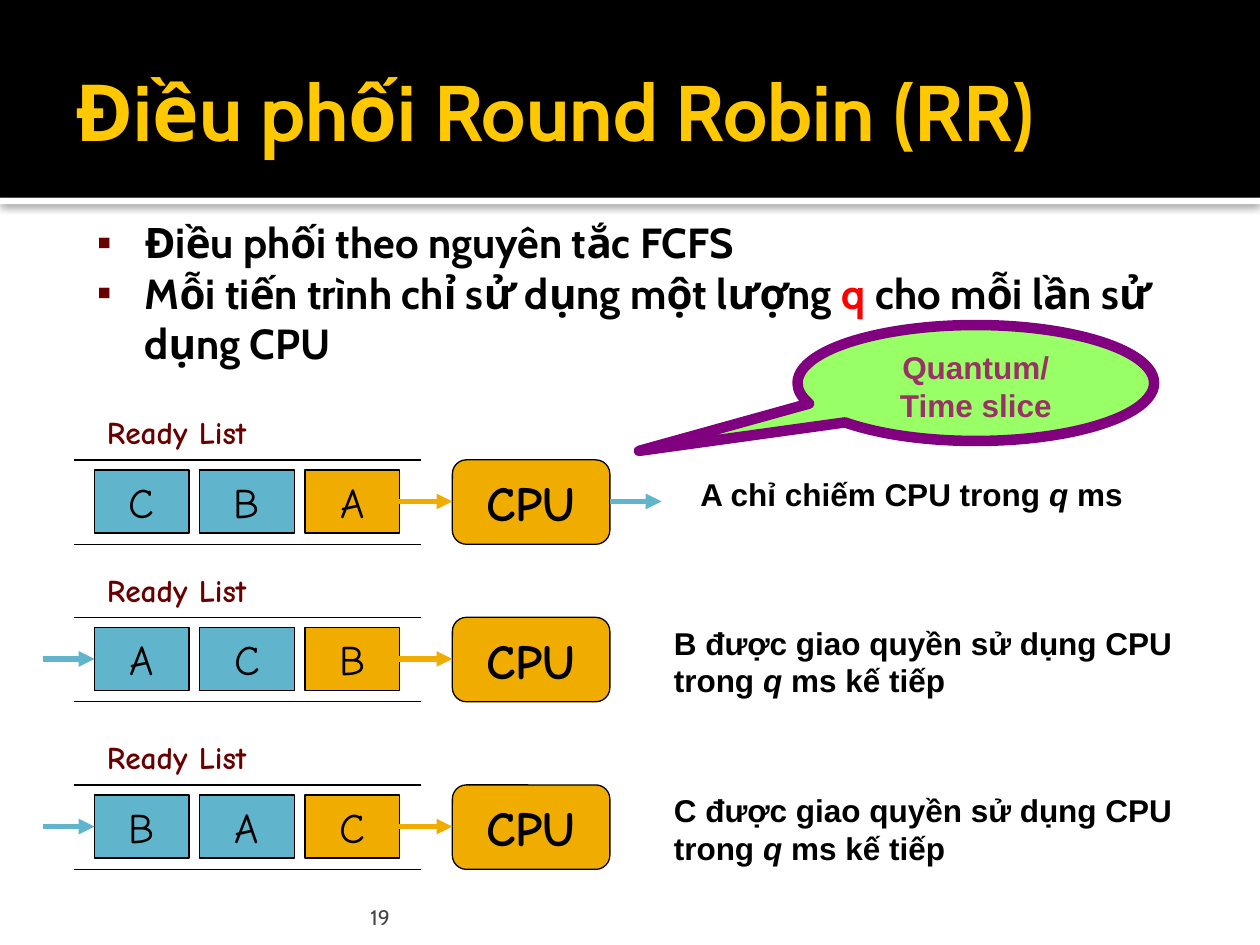
from dataclasses import dataclass

import pptx
import pptx.dml.color
import pptx.enum.shapes
import pptx.enum.text
import pptx.oxml
import pptx.oxml.ns
import pptx.util
from pptx.util import Inches

SHAPES = pptx.enum.shapes.MSO_SHAPE
ANCHOR = pptx.enum.text.MSO_ANCHOR
ALIGN = pptx.enum.text.PP_ALIGN
A_NS = pptx.oxml.ns.nsdecls("a")

BLUE, AMBER, BLACK, WHITE, MAROON = "60B5CC", "F0AD00", "000000", "FFFFFF", "680000"


@dataclass
class Style:
    size: float
    font: str
    color: str = BLACK
    bold: bool = True


@dataclass
class Run:
    text: str
    color: str = ""
    italic: bool = False


@dataclass
class Stage:
    """One step of the schedule: its queue, arrow and explanation."""
    top: float
    queue: str
    blue_arrow_left: float
    note_at: tuple[float, float, float, float]
    note: list[list[Run]]


TITLE = Style(45, "Cabin", "FFC800")
BODY = Style(24, "Cabin")
PAGE = Style(12, "Cabin", "454545", False)
PROCESS = Style(24, "Comic Neue", bold=False)
CPU = Style(28, "Comic Neue")
READY = Style(18, "Comic Neue", MAROON)
NOTE = Style(18, "Arial")
QUANTUM = Style(18, "Arial", "993366")


def rgb(color: str) -> pptx.dml.color.RGBColor:
    return pptx.dml.color.RGBColor.from_string(color)


def write(shape, paragraphs: list[list[Run]], style: Style, anchor=ANCHOR.TOP,
          align=ALIGN.LEFT, wrap: bool = True, insets=(0.1, 0.05, 0.1, 0.05)) -> None:
    frame = shape.text_frame
    frame.word_wrap = wrap
    frame.vertical_anchor = anchor
    (frame.margin_left, frame.margin_top,
     frame.margin_right, frame.margin_bottom) = map(Inches, insets)
    for index, runs in enumerate(paragraphs):
        paragraph = frame.add_paragraph() if index else frame.paragraphs[0]
        paragraph.alignment = align
        for part in runs:
            if part.text == "\n":
                paragraph.add_line_break()
                continue
            run = paragraph.add_run()
            run.text = part.text
            run.font.size = pptx.util.Pt(style.size)
            run.font.name = style.font
            run.font.bold = style.bold
            run.font.italic = part.italic
            run.font.color.rgb = rgb(part.color or style.color)


def add_text(at, paragraphs: list[list[Run]], style: Style, **options):
    box = slide.shapes.add_textbox(*map(Inches, at))
    write(box, paragraphs, style, **options)
    return box


def add_box(kind, at, fill: str, line: str = "", width: float = 0.75):
    box = slide.shapes.add_shape(kind, *map(Inches, at))
    box.shadow.inherit = False
    box.fill.solid()
    box.fill.fore_color.rgb = rgb(fill)
    if line:
        box.line.color.rgb = rgb(line)
        box.line.width = pptx.util.Pt(width)
    else:
        box.line.fill.background()
    return box


def add_line(left: float, right: float, y: float, color: str = BLACK,
             width: float = 0.75, arrow: bool = False) -> None:
    line = slide.shapes.add_connector(
        pptx.enum.shapes.MSO_CONNECTOR.STRAIGHT,
        Inches(left), Inches(y), Inches(right), Inches(y))
    line.line.color.rgb = rgb(color)
    line.line.width = pptx.util.Pt(width)
    if arrow:
        line.line._get_or_add_ln().append(
            pptx.oxml.parse_xml(f'<a:tailEnd {A_NS} type="triangle"/>'))
    line._element.spPr.append(pptx.oxml.parse_xml(f"<a:effectLst {A_NS}/>"))


def add_bullet(paragraph) -> None:
    properties = paragraph._p.get_or_add_pPr()
    properties.set("marL", str(Inches(0.38)))
    properties.set("indent", str(-Inches(0.38)))
    for xml in (f'<a:buClr {A_NS}><a:srgbClr val="{MAROON}"/></a:buClr>',
                f'<a:buFont {A_NS} typeface="Arial"/>',
                f'<a:buChar {A_NS} char="▪"/>'):
        properties.append(pptx.oxml.parse_xml(xml))


def draw_stage(stage: Stage) -> None:
    middle = stage.top + 0.33
    # Queue between its two rails
    add_text((0.75, stage.top - 0.42, 1.62, 0.43), [[Run("Ready List")]], READY, wrap=False)
    for rail in (stage.top, stage.top + 0.67):
        add_line(0.59, 3.34, rail)
    for index, name in enumerate(stage.queue):
        fill = AMBER if index == len(stage.queue) - 1 else BLUE
        process = add_box(SHAPES.RECTANGLE, (0.75 + index * 0.835, stage.top + 0.08, 0.75, 0.5),
                          fill, BLACK)
        write(process, [[Run(name)]], PROCESS, ANCHOR.MIDDLE, ALIGN.CENTER, wrap=False)
    # Processor and arrows
    cpu = add_box(SHAPES.ROUNDED_RECTANGLE, (3.59, stage.top, 1.25, 0.67), AMBER, BLACK)
    write(cpu, [[Run("CPU")]], CPU, ANCHOR.MIDDLE, ALIGN.CENTER, wrap=False)
    add_line(3.17, 3.59, middle, AMBER, 3, arrow=True)
    add_line(stage.blue_arrow_left, stage.blue_arrow_left + 0.41, middle, BLUE, 3, arrow=True)
    # Explanation
    add_text(stage.note_at, stage.note, NOTE, wrap=False)


def turn_note(name: str) -> list[list[Run]]:
    return [[Run(f"{name} được giao quyền sử dụng CPU")],
            [Run("trong "), Run("q", italic=True), Run(" ms kế tiếp")]]


presentation = pptx.Presentation()
presentation.slide_width, presentation.slide_height = Inches(10), Inches(7.5)
slide = presentation.slides.add_slide(presentation.slide_layouts[6])

# Header band with a shadowed white edge
edge = add_box(SHAPES.RECTANGLE, (0, 1.57, 10, 0.05), WHITE)
edge._element.spPr.find(pptx.oxml.ns.qn("a:effectLst")).append(pptx.oxml.parse_xml(
    f'<a:outerShdw {A_NS} blurRad="{pptx.util.Pt(5)}" dist="{pptx.util.Pt(0.8)}" '
    f'dir="5400000" rotWithShape="0"><a:srgbClr val="{BLACK}">'
    '<a:alpha val="60000"/></a:srgbClr></a:outerShdw>'))
add_box(SHAPES.RECTANGLE, (0, 0, 10, 1.57), BLACK)
add_text((0.5, 0.25, 8.17, 1.25), [[Run("Điều phối Round Robin (RR)")]], TITLE,
         anchor=ANCHOR.MIDDLE, insets=(0.1, 0.05, 0.05, 0.05))

# Page number
add_text((2.89, 7.08, 6.02, 0.3), [[Run("19")]], PAGE,
         anchor=ANCHOR.BOTTOM, insets=(0.05, 0.05, 0.05, 0))

# Scheduling stages
STAGES = [
    Stage(3.65, "CBA", 4.84, (5.46, 3.72, 3.93, 0.43),
          [[Run("A chỉ chiếm CPU trong "), Run("q", italic=True), Run(" ms")]]),
    Stage(4.9, "ACB", 0.34, (5.25, 4.9, 4.6, 0.77), turn_note("B")),
    Stage(6.23, "BAC", 0.34, (5.25, 6.23, 4.6, 0.77), turn_note("C")),
]
for stage in STAGES:
    draw_stage(stage)

# Principles
principles = add_text((0.67, 1.67, 8.91, 1.31), [
    [Run("Điều phối theo nguyên tắc FCFS")],
    [Run("Mỗi tiến trình chỉ sử dụng một lượng "), Run("q ", "FF0000"),
     Run("cho mỗi lần sử dụng CPU")],
], BODY)
for principle in principles.text_frame.paragraphs:
    add_bullet(principle)

# Quantum callout
quantum = add_box(SHAPES.OVAL_CALLOUT, (6.33, 2.58, 2.83, 0.92), "99FF66", "800080", 6)
quantum.adjustments[0], quantum.adjustments[1] = -0.945, 0.586
write(quantum, [[Run("Quantum/"), Run("\n"), Run("Time slice")]], QUANTUM, align=ALIGN.CENTER)

presentation.save("out.pptx")
